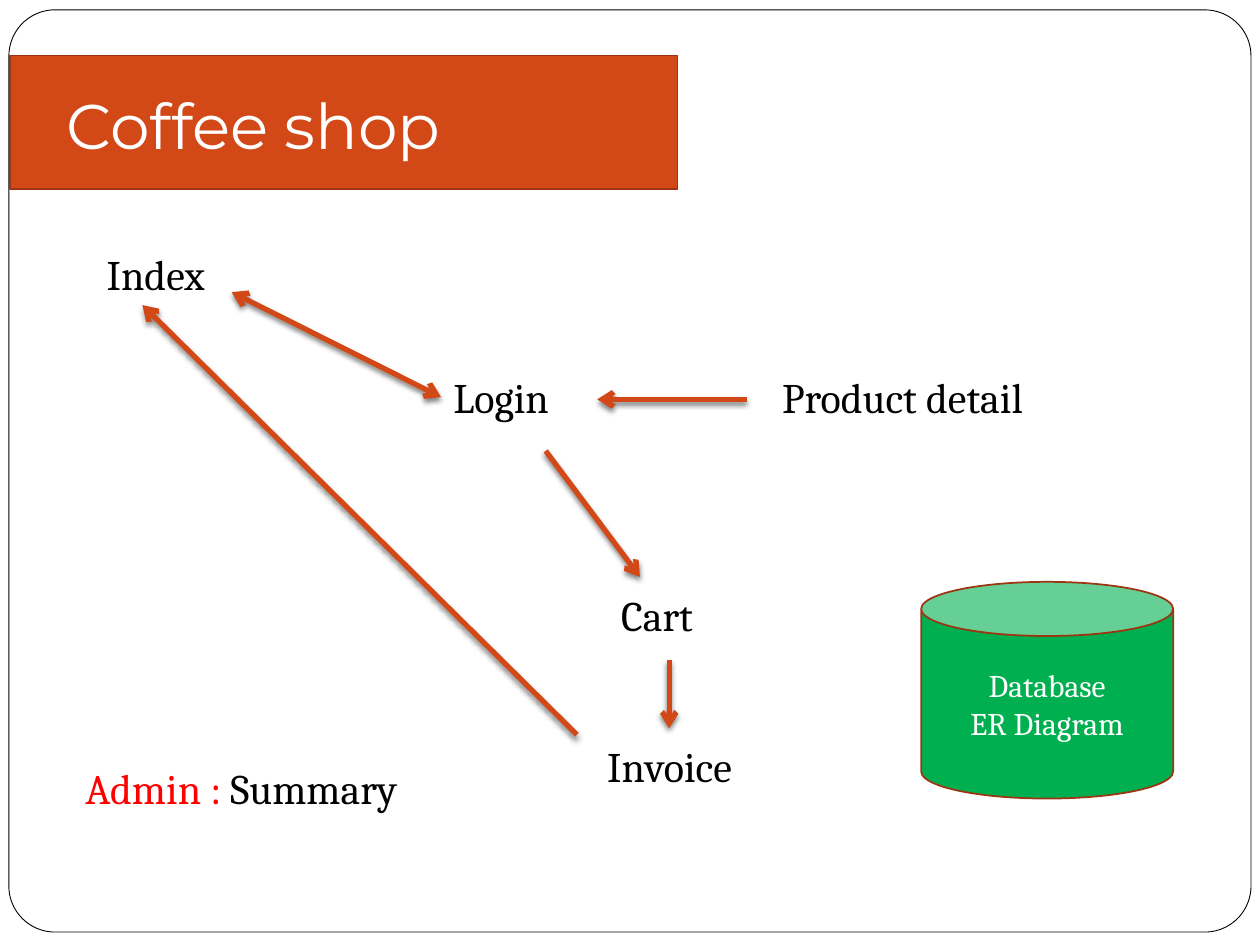
"""Build the coffee shop page-flow slide."""
from lxml import etree
from pptx import Presentation
from pptx.dml.color import RGBColor
from pptx.enum.shapes import MSO_CONNECTOR, MSO_SHAPE
from pptx.enum.text import MSO_ANCHOR, MSO_AUTO_SIZE, PP_ALIGN
from pptx.oxml import parse_xml
from pptx.oxml.ns import nsdecls, qn
from pptx.util import Cm, Pt

STRAIGHT = MSO_CONNECTOR.STRAIGHT
ROUNDED, RECTANGLE, CAN = MSO_SHAPE.ROUNDED_RECTANGLE, MSO_SHAPE.RECTANGLE, MSO_SHAPE.CAN
MIDDLE = MSO_ANCHOR.MIDDLE
NO_AUTOFIT = MSO_AUTO_SIZE.NONE
LEFT, CENTER = PP_ALIGN.LEFT, PP_ALIGN.CENTER
TITLE_ONLY = 5
LEFT_SIDE = 1
COLORS = {
    "white": "FFFFFF",
    "black": "000000",
    "red": "FF0000",
    "orange": "D34817",
    "rust": "9C3511",
    "green": "00B050",
}
SHADOW = (
    f'<a:effectLst {nsdecls("a")}>'
    '<a:outerShdw blurRad="38100" dist="25400" dir="5400000" rotWithShape="0">'
    f'<a:srgbClr val="{COLORS["black"]}"><a:alpha val="50000"/></a:srgbClr>'
    "</a:outerShdw></a:effectLst>"
)


def rgb(name):
    """Return a named palette colour."""
    return RGBColor.from_string(COLORS[name])


def style_font(font, size, color, typeface="Cambria"):
    """Set the typeface, size and colour of a font."""
    font.name = typeface
    font.size = Pt(size)
    font.color.rgb = rgb(color)


def add_panel(slide, kind, box, fill, outline, weight):
    """Add a filled and outlined preset shape."""
    panel = slide.shapes.add_shape(kind, *map(Cm, box))
    panel.shadow.inherit = False
    panel.fill.solid()
    panel.fill.fore_color.rgb = rgb(fill)
    panel.line.color.rgb = rgb(outline)
    panel.line.width = Pt(weight)
    return panel


def place_title(slide, text):
    """Put the title placeholder on top of the banner."""
    title = slide.shapes.title
    title.left, title.top, title.width, title.height = map(Cm, (1.09, 1.6, 8.86, 1.8))
    title.text = text
    title.text_frame.auto_size = NO_AUTOFIT
    title.text_frame.vertical_anchor = MIDDLE
    heading = title.text_frame.paragraphs[0]
    heading.alignment = LEFT
    style_font(heading.font, 36, "white", "Montserrat")
    slide.shapes._spTree.append(title._element)


def add_label(slide, left, top, width, *parts):
    """Add a one-line label made of (text, colour) parts."""
    label = slide.shapes.add_textbox(Cm(left), Cm(top), Cm(width), Cm(1.27))
    label.text_frame.word_wrap = True
    line = label.text_frame.paragraphs[0]
    for text, color in parts:
        run = line.add_run()
        run.text = text
        style_font(run.font, 24, color)
    return label


def add_arrow(slide, start, end, ends=("tailEnd",)):
    """Add a shadowed arrow with heads at the given ends."""
    arrow = slide.shapes.add_connector(STRAIGHT, *map(Cm, start + end))
    arrow.line.color.rgb = rgb("orange")
    arrow.line.width = Pt(3)
    for end_tag in ends:
        etree.SubElement(arrow.line._get_or_add_ln(), qn(f"a:{end_tag}"), type="arrow")
    arrow._element.spPr.append(parse_xml(SHADOW))
    return arrow


def add_database(slide):
    """Add the database cylinder with its caption."""
    database = add_panel(slide, CAN, (18.57, 11.73, 5.08, 4.37), "green", "rust", 1)
    database.text_frame.text = "Database\nER Diagram"
    database.text_frame.vertical_anchor = MIDDLE
    for line in database.text_frame.paragraphs:
        line.alignment = CENTER
        style_font(line.font, 18, "white")


def main():
    """Assemble and save the slide."""
    deck = Presentation()
    deck.slide_width, deck.slide_height = Cm(25.4), Cm(19.05)
    slide = deck.slides.add_slide(deck.slide_layouts[TITLE_ONLY])

    frame = add_panel(slide, ROUNDED, (0.18, 0.2, 25.04, 18.59), "white", "black", 0.5)
    frame.adjustments[0] = 0.05
    add_panel(slide, RECTANGLE, (0.2, 1.12, 13.46, 2.69), "orange", "rust", 1)
    place_title(slide, "Coffee shop")

    pages = {
        name: add_label(slide, left, top, width, (name, "black"))
        for name, left, top, width in (
            ("Login", 8.89, 7.37, 2.77),
            ("Product detail", 15.52, 7.37, 6.12),
            ("Cart", 12.27, 11.76, 2.31),
            ("Invoice", 11.99, 14.81, 3.35),
            ("Index", 1.9, 4.88, 2.77),
        )
    }
    add_label(slide, 1.47, 15.24, 7.77, ("Admin : ", "red"), ("Summary", "black"))
    add_database(slide)

    for start, end in (
        ((11, 9.09), (12.9, 11.63)),
        ((13.49, 13.31), (13.49, 14.68)),
        ((15.06, 8.05), (12.04, 8.05)),
        ((11.63, 14.81), (2.87, 6.15)),
    ):
        add_arrow(slide, start, end)
    index_login = add_arrow(slide, (4.67, 5.89), (8.89, 8), ("headEnd", "tailEnd"))
    index_login.end_connect(pages["Login"], LEFT_SIDE)

    deck.save("out.pptx")


if __name__ == "__main__":
    main()
